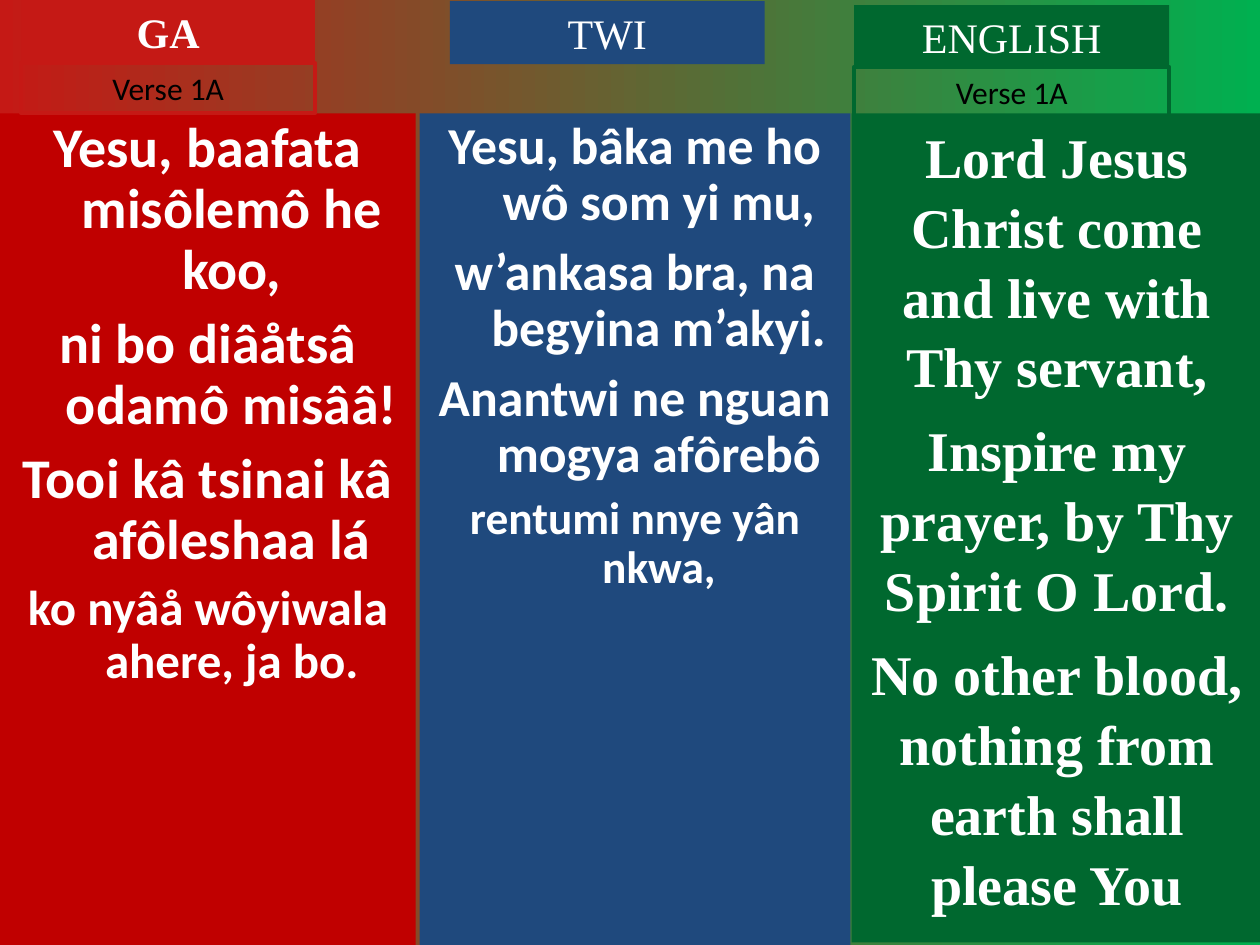
from pptx import Presentation
from pptx.dml.color import RGBColor
from pptx.enum.shapes import MSO_SHAPE
from pptx.enum.text import MSO_ANCHOR, PP_ALIGN
from pptx.util import Inches, Pt

RED = RGBColor(0xC5, 0x19, 0x15)
DARK_RED = RGBColor(0xC0, 0x00, 0x00)
BLUE = RGBColor(0x1F, 0x49, 0x7D)
GREEN = RGBColor(0x00, 0x68, 0x2F)
BRIGHT_GREEN = RGBColor(0x00, 0xB0, 0x50)
WHITE = RGBColor(0xFF, 0xFF, 0xFF)
BLACK = RGBColor(0x00, 0x00, 0x00)
SANS = "Calibri"
SERIF = "Times New Roman"


class HymnSlide:
    def __init__(self, slide):
        self.slide = slide

    def background(self, start, end):
        fill = self.slide.background.fill
        fill.gradient()
        fill.gradient_angle = 0
        for stop, color, position in zip(fill.gradient_stops, (start, end), (0, 1)):
            stop.color.rgb = color
            stop.position = position

    def box(self, left, top, width, height, fill=None, line=None):
        shape = self.slide.shapes.add_shape(
            MSO_SHAPE.RECTANGLE, Inches(left), Inches(top), Inches(width), Inches(height))
        shape.shadow.inherit = False
        if fill is None:
            shape.fill.background()
        else:
            shape.fill.solid()
            shape.fill.fore_color.rgb = fill
        if line is None:
            shape.line.fill.background()
        else:
            shape.line.color.rgb = line
            shape.line.width = Pt(2.25)
        frame = shape.text_frame
        frame.word_wrap = True
        frame.vertical_anchor = MSO_ANCHOR.TOP
        return frame

    def add_text(self, paragraph, text, size, font, color=WHITE, bold=False):
        paragraph.alignment = PP_ALIGN.CENTER
        run = paragraph.add_run()
        run.text = text
        run.font.size = Pt(size)
        run.font.name = font
        run.font.bold = bold
        run.font.color.rgb = color

    def heading(self, left, top, width, text, fill, bold=False):
        frame = self.box(left, top, width, 0.5, fill=fill)
        self.add_text(frame.paragraphs[0], text, 24, SERIF, bold=bold)

    def verse_label(self, left, top, width, line):
        frame = self.box(left, top, width, 0.4, line=line)
        self.add_text(frame.paragraphs[0], "Verse 1A", 18, SANS, BLACK)

    def lyrics(self, left, width, height, fill, font, lines, spacing, hanging=0):
        frame = self.box(left, 0.9, width, height, fill=fill)
        for index, (text, size) in enumerate(lines):
            paragraph = frame.add_paragraph() if index else frame.paragraphs[0]
            paragraph.line_spacing = spacing
            paragraph.space_before = Pt((8 if size > 28 else 7) if index else 0)
            if hanging:
                properties = paragraph._p.get_or_add_pPr()
                properties.set("marL", str(Inches(hanging)))
                properties.set("indent", str(-Inches(hanging)))
            self.add_text(paragraph, text, size, font, bold=True)


def main():
    presentation = Presentation()
    presentation.slide_width = Inches(10)
    presentation.slide_height = Inches(7.5)
    hymn = HymnSlide(presentation.slides.add_slide(presentation.slide_layouts[6]))
    hymn.background(RED, BRIGHT_GREEN)

    # Ga and Twi lyrics
    hymn.lyrics(0, 3.3, 6.6, DARK_RED, SANS, [
        ("Yesu, baafata misôlemô he koo,", 32),
        ("ni bo diâåtsâ odamô misââ!", 32),
        ("Tooi kâ tsinai kâ afôleshaa lá", 32),
        ("ko nyâå wôyiwala ahere, ja bo.", 28),
    ], spacing=0.9, hanging=0.38)
    hymn.lyrics(3.33, 3.42, 6.6, BLUE, SANS, [
        ("Yesu, bâka me ho wô som yi mu,", 29.6),
        ("w’ankasa bra, na begyina m’akyi.", 29.6),
        ("Anantwi ne nguan mogya afôrebô", 29.6),
        ("rentumi nnye yân nkwa,", 25.9),
    ], spacing=0.9, hanging=0.38)

    # Ga and Twi headings
    hymn.heading(0.17, 0, 2.33, "GA", RED, bold=True)
    hymn.heading(3.57, 0.01, 2.5, "TWI", BLUE)
    hymn.verse_label(0.17, 0.5, 2.33, RED)

    # English column
    hymn.lyrics(6.76, 3.26, 6.58, GREEN, SERIF, [
        ("Lord Jesus Christ come and live with Thy servant,", 32),
        ("Inspire my prayer, by Thy Spirit O Lord.", 32),
        ("No other blood, nothing from earth shall please You", 32),
    ], spacing=1.04)
    hymn.heading(6.78, 0.04, 2.5, "ENGLISH", GREEN)
    hymn.verse_label(6.78, 0.53, 2.5, GREEN)

    presentation.save("out.pptx")


if __name__ == "__main__":
    main()
